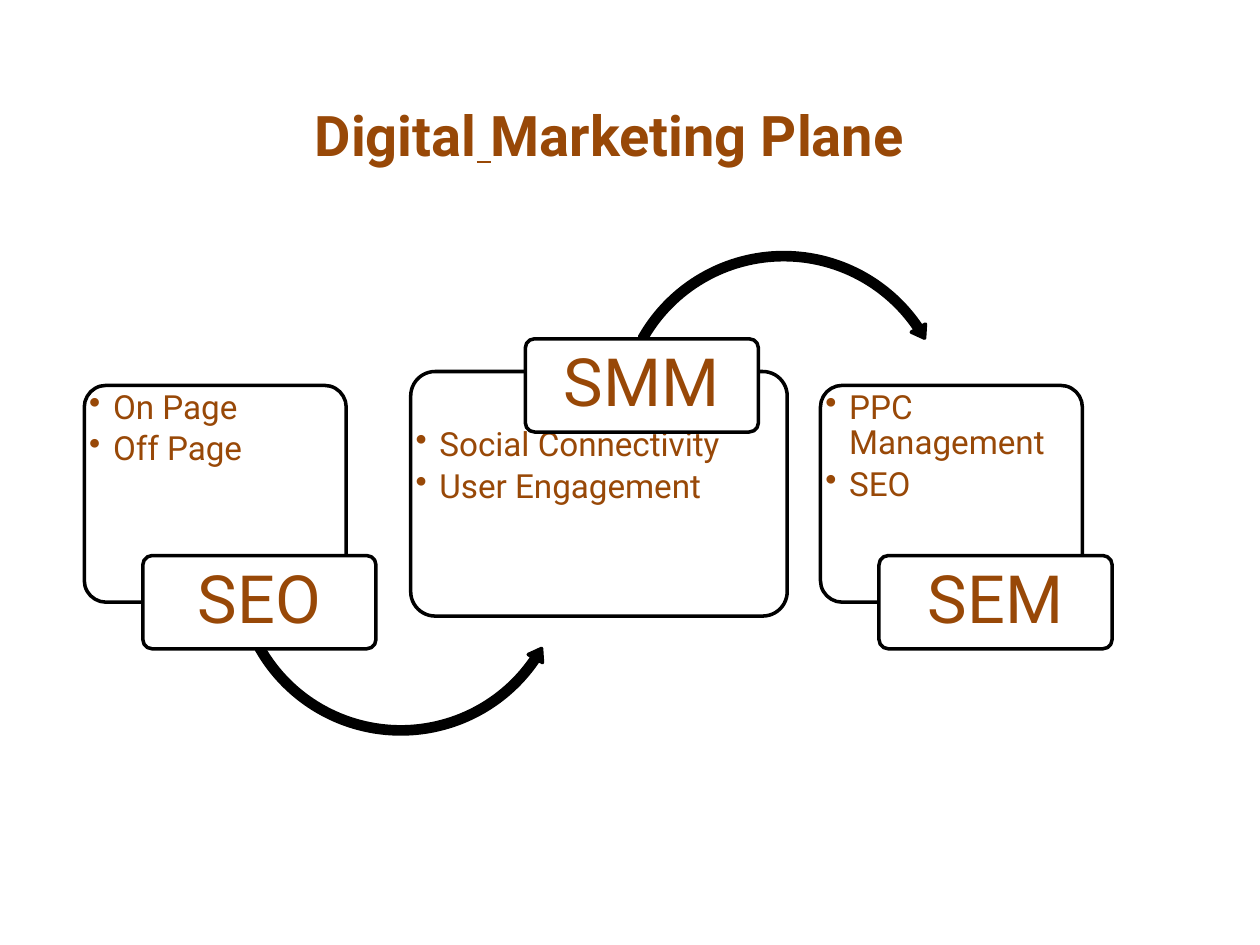
from lxml.etree import SubElement
from pptx import Presentation
from pptx.dml.color import RGBColor
from pptx.enum.shapes import MSO_SHAPE
from pptx.enum.text import MSO_ANCHOR, MSO_AUTO_SIZE, PP_ALIGN
from pptx.oxml.ns import qn
from pptx.util import Cm, Pt

BROWN = RGBColor(0x98, 0x48, 0x07)
BLACK = RGBColor(0, 0, 0)
WHITE = RGBColor(0xFF, 0xFF, 0xFF)
FONT = "Roboto"

PANEL_TOP, PANEL_WIDTH, PANEL_HEIGHT = 7.77, 5.28, 4.37
TAG_WIDTH, TAG_HEIGHT = 4.7, 1.88
ARROW_SIZE = 6.86
LOW_TAG = (1.18, 3.43)
HIGH_TAG = (2.31, -0.66)

STAGES = [
    dict(name="SEO", items=["On Page", "Off Page"],
         box=(1.7, PANEL_TOP, PANEL_WIDTH, PANEL_HEIGHT),
         tag=LOW_TAG, list_top=0,
         arrow=(MSO_SHAPE.LEFT_CIRCULAR_ARROW, 2.95, 0.26, 20.28, 90.26)),
    dict(name="SMM", items=["Social Connectivity", "User Engagement"],
         box=(8.28, 7.49, 7.59, 4.93),
         tag=HIGH_TAG, list_top=1.04,
         arrow=(MSO_SHAPE.CIRCULAR_ARROW, 4.09, -2.49, 195.74, 125.77)),
    dict(name="SEM", items=["PPC Management", "SEO"],
         box=(16.54, PANEL_TOP, PANEL_WIDTH, PANEL_HEIGHT),
         tag=LOW_TAG, list_top=0, arrow=None),
]


def add_span(para, text, size, bold=None, underline=None):
    span = para.add_run()
    span.text = text
    span.font.name = FONT
    span.font.size = Pt(size)
    span.font.color.rgb = BROWN
    span.font.bold = bold
    span.font.underline = underline


def set_margins(frame, side, end):
    frame.margin_left = frame.margin_right = Cm(side)
    frame.margin_top = frame.margin_bottom = Cm(end)


def add_outlined(page, kind, box, fill, adjustments):
    shape = page.shapes.add_shape(kind, *map(Cm, box))
    shape.shadow.inherit = False
    shape.fill.solid()
    shape.fill.fore_color.rgb = fill
    shape.line.color.rgb = BLACK
    shape.line.width = Pt(2)
    for index, value in enumerate(adjustments):
        shape.adjustments[index] = value
    return shape


def add_title(page, box):
    title = page.shapes.add_textbox(*map(Cm, box))
    frame = title.text_frame
    frame.word_wrap = True
    frame.auto_size = MSO_AUTO_SIZE.SHAPE_TO_FIT_TEXT
    para = frame.paragraphs[0]
    para.alignment = PP_ALIGN.CENTER
    add_span(para, "Digital", 32, bold=True)
    add_span(para, " ", 32, bold=True, underline=True)
    add_span(para, "Marketing Plane", 32, bold=True)


def add_bullets(page, box, items):
    frame = page.shapes.add_textbox(*map(Cm, box)).text_frame
    frame.word_wrap = True
    set_margins(frame, 0.1, 0.1)
    for index, item in enumerate(items):
        para = frame.add_paragraph() if index else frame.paragraphs[0]
        para.level = 1
        para.line_spacing = 0.9
        para.space_after = Pt(3.3)
        properties = para._p.get_or_add_pPr()
        properties.set("marL", str(Cm(0.48)))
        properties.set("indent", str(-Cm(0.48)))
        SubElement(properties, qn("a:buChar")).set("char", "•")
        add_span(para, item, 19)


def add_tag(page, box, name):
    tag = add_outlined(page, MSO_SHAPE.ROUNDED_RECTANGLE, box, WHITE, [0.1])
    frame = tag.text_frame
    frame.word_wrap = True
    frame.vertical_anchor = MSO_ANCHOR.MIDDLE
    set_margins(frame, 0.2, 0.13)
    para = frame.paragraphs[0]
    para.alignment = PP_ALIGN.CENTER
    para.line_spacing = 0.9
    add_span(para, name, 38)


def add_stage(page, box, name, items, tag, list_top, arrow):
    left, top, width, height = box
    add_outlined(page, MSO_SHAPE.ROUNDED_RECTANGLE, box, WHITE, [0.1])
    list_height = min(LOW_TAG[1], height - list_top)
    add_bullets(page, (left, top + list_top, width, list_height), items)
    if arrow:
        kind, across, down, head_angle, tail_angle = arrow
        add_outlined(page, kind,
                     (left + across, top + down, ARROW_SIZE, ARROW_SIZE), BLACK,
                     [0.021, 2.514, head_angle, tail_angle, 0.024])
    across, down = tag
    add_tag(page, (left + across, top + down, TAG_WIDTH, TAG_HEIGHT), name)


def main():
    deck = Presentation()
    deck.slide_width, deck.slide_height = Cm(25.4), Cm(19.05)
    page = deck.slides.add_slide(deck.slide_layouts[6])
    add_title(page, (1.07, 1.9, 22.43, 1.62))
    for stage in STAGES:
        add_stage(page, **stage)
    deck.save("out.pptx")


if __name__ == "__main__":
    main()
